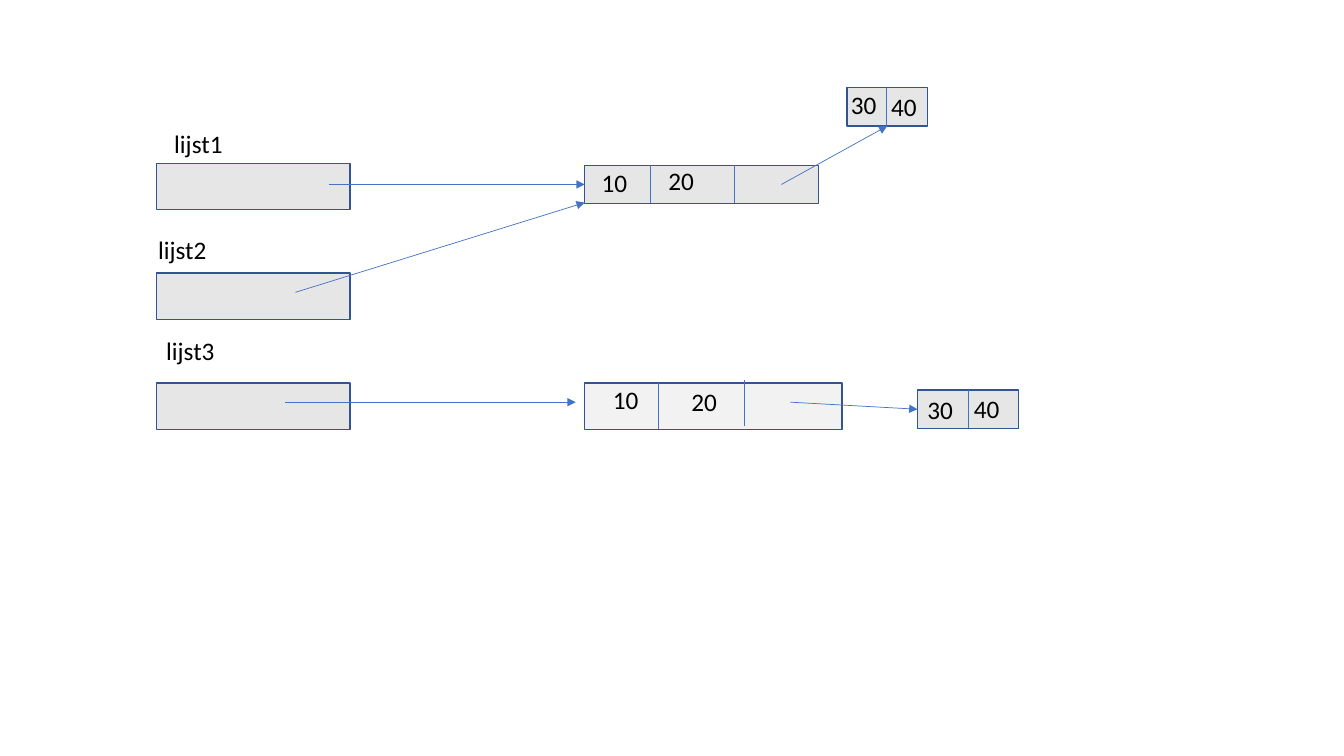
from pptx import Presentation
from pptx.dml.color import RGBColor
from pptx.enum import shapes, text
from pptx.oxml.ns import qn
from pptx.util import Inches, Pt
from lxml import etree

GREY = RGBColor(0xE7, 0xE6, 0xE6)
LIGHT_GREY = RGBColor(0xF2, 0xF2, 0xF2)
NAVY = RGBColor(0x32, 0x54, 0x91)
BLUE = RGBColor(0x44, 0x72, 0xC4)
BLACK = RGBColor(0, 0, 0)


def add_link(slide, start, end, arrow=False):
    """Draw a thin blue line, with an arrowhead at its end if it is a pointer."""
    link = slide.shapes.add_connector(
        shapes.MSO_CONNECTOR.STRAIGHT, *map(Inches, start + end))
    link.line.color.rgb = BLUE
    link.line.width = Pt(0.5)
    if arrow:
        etree.SubElement(link.line._get_or_add_ln(), qn("a:tailEnd"), type="triangle")
    etree.SubElement(link._element.spPr, qn("a:effectLst"))


def add_label(slide, wording, left, top, width, wrap=True):
    label = slide.shapes.add_textbox(*map(Inches, (left, top, width, 0.4)))
    label.text_frame.word_wrap = wrap
    label.text_frame.auto_size = text.MSO_AUTO_SIZE.SHAPE_TO_FIT_TEXT
    run = label.text_frame.paragraphs[0].add_run()
    run.text = wording
    for setting, value in {"name": "Calibri", "size": Pt(18)}.items():
        setattr(run.font, setting, value)
    run.font.color.rgb = BLACK


deck = Presentation()
deck.slide_width, deck.slide_height = Inches(13.33), Inches(7.5)
slide = deck.slides.add_slide(deck.slide_layouts[6])

# Boxes: the three variables, then the lists they refer to
variables = [(1.55, 1.62 + 1.09 * row, 1.92, 0.46, GREY) for row in range(3)]
lists = [
    (5.8, 1.64, 2.32, 0.38, GREY),
    (8.4, 0.87, 0.8, 0.38, GREY),
    (5.8, 3.8, 2.55, 0.46, LIGHT_GREY),
    (9.1, 3.87, 1, 0.38, GREY),
]
for *place, colour in variables + lists:
    box = slide.shapes.add_shape(shapes.MSO_SHAPE.RECTANGLE, *map(Inches, place))
    box.shadow.inherit = False
    box.fill.solid()
    box.fill.fore_color.rgb = colour
    box.line.color.rgb = NAVY
    box.line.width = Pt(1)

# Cell dividers: x, top, height
for x, top, height in [
    (6.45, 1.64, 0.37), (7.28, 1.64, 0.37), (8.79, 0.87, 0.38),
    (6.53, 3.8, 0.46), (7.38, 3.77, 0.46), (9.6, 3.87, 0.38),
]:
    add_link(slide, (x, top), (x, top + height))

# References
for start, end in [
    ((3.26, 1.83), (5.8, 1.83)),
    ((2.93, 2.9), (5.8, 2.01)),
    ((2.83, 3.99), (5.71, 3.99)),
    ((7.75, 1.83), (8.8, 1.25)),
    ((7.84, 3.99), (9.1, 4.06)),
]:
    add_link(slide, start, end, arrow=True)

# Variable names
for name, left, top in [
    ("lijst1", 1.63, 1.22), ("lijst2", 1.47, 2.28), ("lijst3", 1.55, 3.28),
]:
    add_label(slide, name, left, top, 2.1)

# List values
for value, left, top in [
    ("10", 5.87, 1.61), ("20", 6.53, 1.59),
    ("30", 8.34, 0.84), ("40", 8.74, 0.86),
    ("10", 5.98, 3.76), ("20", 6.76, 3.78),
    ("30", 9.1, 3.86), ("40", 9.56, 3.85),
]:
    add_label(slide, value, left, top, 0.46, wrap=False)

deck.save("out.pptx")
